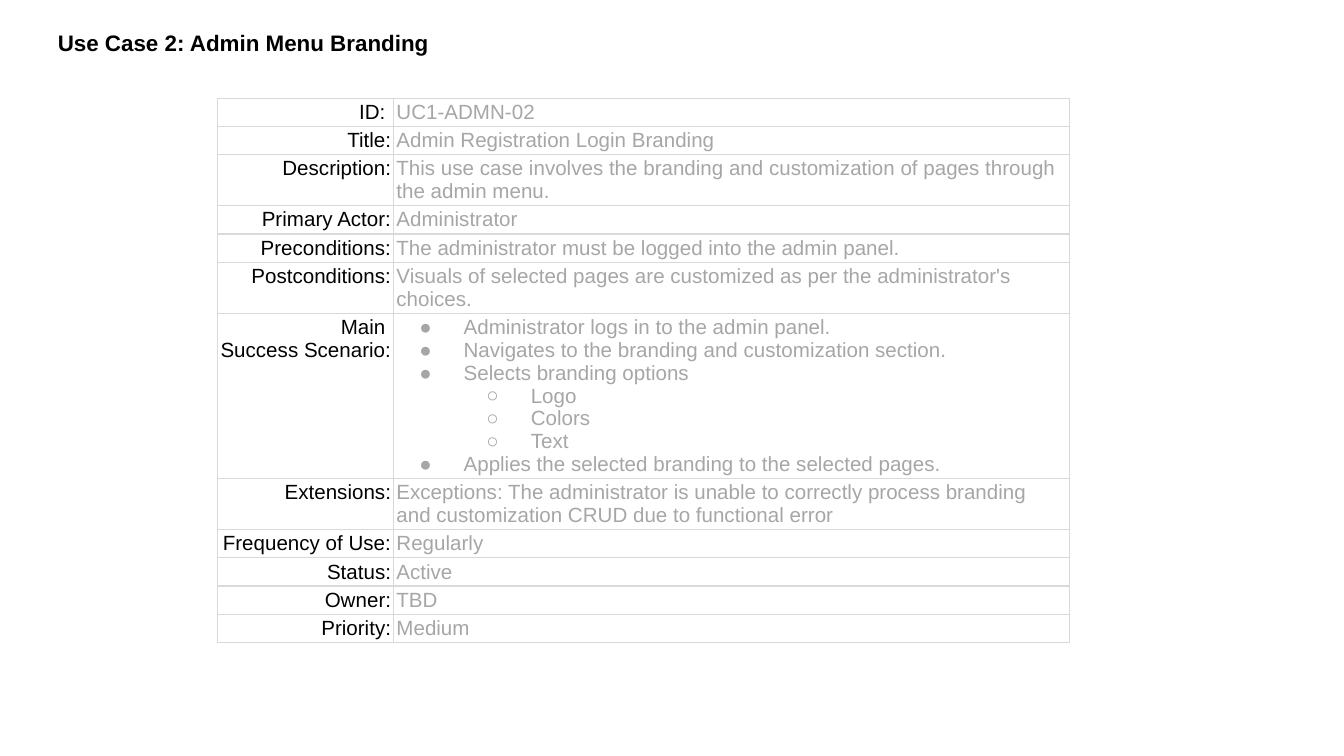
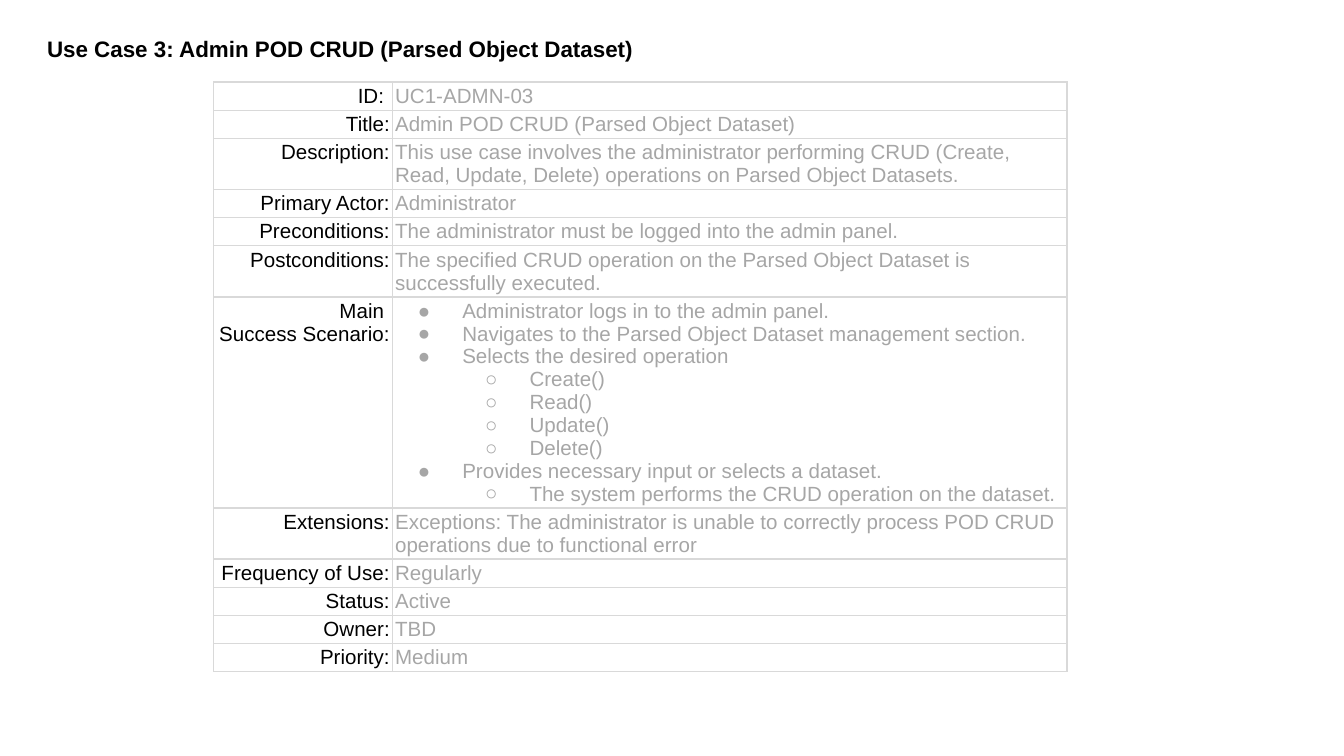
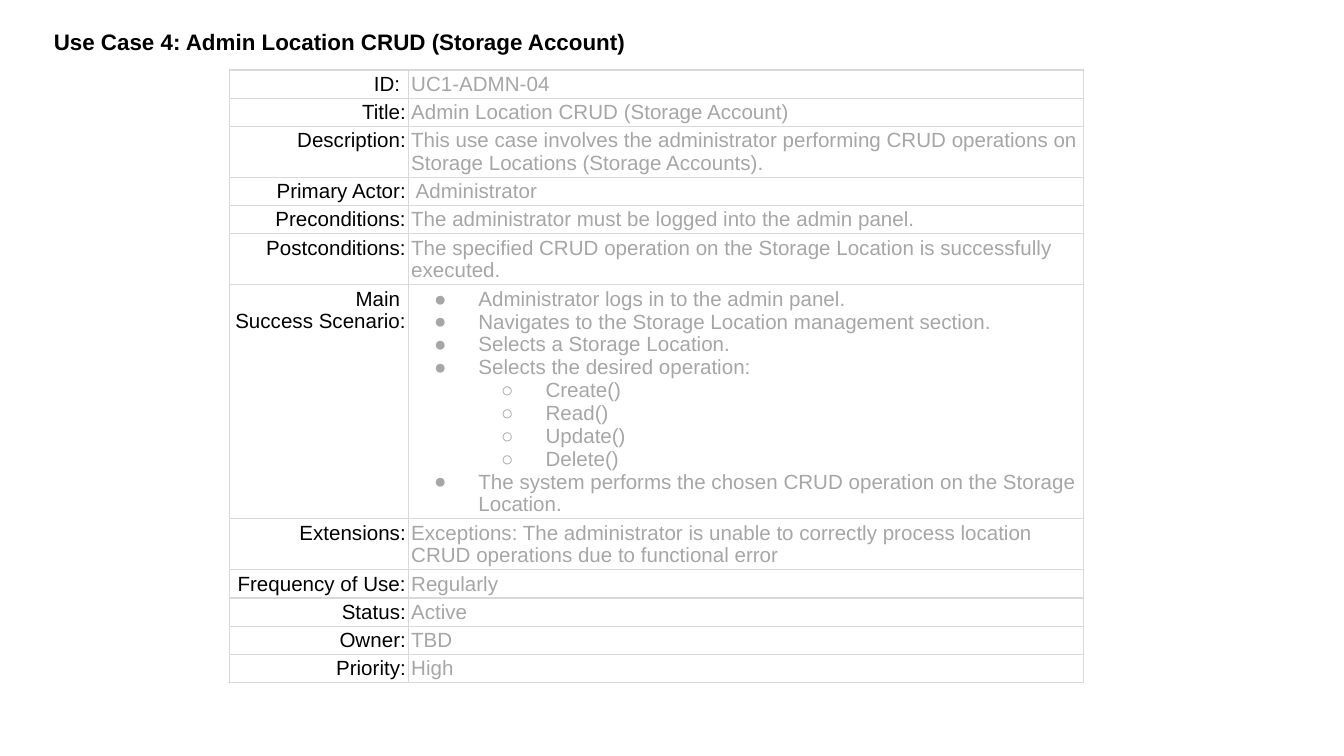
from pptx import Presentation
from pptx import util as u
from pptx.dml.color import RGBColor
from pptx.enum import text
from pptx.oxml import parse_xml
from pptx.oxml.ns import nsdecls

# Shared look
BLACK = RGBColor(0x00, 0x00, 0x00)
GREY = RGBColor(0xA6, 0xA6, 0xA6)
RULE = RGBColor(0xD9, 0xD9, 0xD9)
WHITE = RGBColor(0xFF, 0xFF, 0xFF)
FONT = "Arial"
TITLE_SIZE, TABLE_SIZE = u.Pt(12), u.Pt(11)
TITLE_INSET, CELL_INSET = u.Inches(0.1), u.Inches(0.02)
RULE_WIDTH = u.Pt(0.75)
ROW_HEIGHT = u.Inches(0.21)  # one line of text; longer rows grow
LEVEL_INDENT, BULLET_HANG = u.Inches(0.5), u.Inches(0.33)
BULLETS = "●○"

SLIDE_WIDTH, SLIDE_HEIGHT = u.Inches(10), u.Inches(5.625)

LABELS = ["ID: ", "Title:", "Description:", "Primary Actor:", "Preconditions:",
          "Postconditions:", "Main \nSuccess Scenario:", "Extensions:",
          "Frequency of Use:", "Status:", "Owner:", "Priority:"]
LOGGED_IN = "The administrator must be logged into the admin panel."
LOG_IN = (0, "Administrator logs in to the admin panel.")
CRUD_CALLS = [(1, call) for call in ("Create()", "Read()", "Update()", "Delete()")]

# Boxes are left, top, width, height in percent of the slide;
# scenario steps are pairs of level and wording
USE_CASES = [
    {
        "title": "Use Case 2: Admin Menu Branding",
        "title_box": (3.3, 2.13, 94.6, 98.84),
        "table_corner": (16.2, 13), "columns": (13.1, 50.3),
        "values": [
            "UC1-ADMN-02",
            "Admin Registration Login Branding",
            "This use case involves the branding and customization of pages "
            "through the admin menu.",
            "Administrator",
            LOGGED_IN,
            "Visuals of selected pages are customized as per the "
            "administrator's choices.",
            [LOG_IN,
             (0, "Navigates to the branding and customization section."),
             (0, "Selects branding options"),
             (1, "Logo"), (1, "Colors"), (1, "Text"),
             (0, "Applies the selected branding to the selected pages.")],
            "Exceptions: The administrator is unable to correctly process "
            "branding and customization CRUD due to functional error",
            "Regularly", "Active", "TBD", "Medium"],
    },
    {
        "title": "Use Case 3: Admin POD CRUD (Parsed Object Dataset)",
        "title_box": (2.5, 2.85, 95.7, 94.76),
        "table_corner": (15.9, 10.85), "columns": (13.3, 50.2),
        "values": [
            "UC1-ADMN-03",
            "Admin POD CRUD (Parsed Object Dataset)",
            "This use case involves the administrator performing CRUD (Create, "
            "Read, Update, Delete) operations on Parsed Object Datasets.",
            "Administrator",
            LOGGED_IN,
            "The specified CRUD operation on the Parsed Object Dataset is "
            "successfully executed.",
            [LOG_IN,
             (0, "Navigates to the Parsed Object Dataset management section."),
             (0, "Selects the desired operation"),
             *CRUD_CALLS,
             (0, "Provides necessary input or selects a dataset."),
             (1, "The system performs the CRUD operation on the dataset.")],
            "Exceptions: The administrator is unable to correctly process "
            "POD CRUD operations due to functional error",
            "Regularly", "Active", "TBD", "Medium"],
    },
    {
        "title": "Use Case 4: Admin Location CRUD (Storage Account)",
        "title_box": (3, 1.96, 94.6, 93.33),
        "table_corner": (17.1, 9.25), "columns": (13.3, 50.2),
        "values": [
            "UC1-ADMN-04",
            "Admin Location CRUD (Storage Account)",
            "This use case involves the administrator performing CRUD "
            "operations on Storage Locations (Storage Accounts).",
            " Administrator",
            LOGGED_IN,
            "The specified CRUD operation on the Storage Location is "
            "successfully executed.",
            [LOG_IN,
             (0, "Navigates to the Storage Location management section."),
             (0, "Selects a Storage Location."),
             (0, "Selects the desired operation:"),
             *CRUD_CALLS,
             (0, "The system performs the chosen CRUD operation on the "
                 "Storage Location.")],
            "Exceptions: The administrator is unable to correctly process "
            "location CRUD operations due to functional error",
            "Regularly", "Active", "TBD", "High"],
    },
]


def across(percent):
    return u.Emu(round(SLIDE_WIDTH * percent / 100))


def down(percent):
    return u.Emu(round(SLIDE_HEIGHT * percent / 100))


def set_insets(holder, inset):
    holder.margin_left = holder.margin_right = inset
    holder.margin_top = holder.margin_bottom = inset


def write(para, wording, size, color, bold=False, align=text.PP_ALIGN.LEFT):
    para.text = wording
    para.alignment = align
    font = para.font
    font.name, font.size, font.bold = FONT, size, bold
    font.color.rgb = color


def add_bullet(para, level):
    para.level = level
    props = para._p.get_or_add_pPr()
    props.set("marL", str(LEVEL_INDENT * (level + 1)))
    props.set("indent", str(-BULLET_HANG))
    for part in (f'<a:buClr {nsdecls("a")}><a:srgbClr val="{GREY}"/></a:buClr>',
                 f'<a:buFont {nsdecls("a")} typeface="{FONT}"/>',
                 f'<a:buChar {nsdecls("a")} char="{BULLETS[level]}"/>'):
        props.append(parse_xml(part))


def format_cell(cell, anchor):
    set_insets(cell, CELL_INSET)
    cell.vertical_anchor = anchor
    props = cell._tc.get_or_add_tcPr()
    for side in "LRTB":
        props.append(parse_xml(
            f'<a:ln{side} {nsdecls("a")} w="{RULE_WIDTH}"><a:solidFill>'
            f'<a:srgbClr val="{RULE}"/></a:solidFill></a:ln{side}>'))
    cell.fill.solid()
    cell.fill.fore_color.rgb = WHITE


def fill_label(cell, label, anchor):
    format_cell(cell, anchor)
    write(cell.text_frame.paragraphs[0], label, TABLE_SIZE, BLACK,
          align=text.PP_ALIGN.RIGHT)


def fill_value(cell, value):
    format_cell(cell, text.MSO_ANCHOR.MIDDLE)
    frame = cell.text_frame
    if isinstance(value, str):
        write(frame.paragraphs[0], value, TABLE_SIZE, GREY)
        return
    for index, (level, step) in enumerate(value):
        para = frame.add_paragraph() if index else frame.paragraphs[0]
        add_bullet(para, level)
        write(para, step, TABLE_SIZE, GREY)


def place_title(page, wording, box):
    title = page.shapes.title
    left, top, width, height = box
    title.left, title.top = across(left), down(top)
    title.width, title.height = across(width), down(height)
    frame = title.text_frame
    frame.word_wrap = True
    frame.auto_size = text.MSO_AUTO_SIZE.NONE
    frame.vertical_anchor = text.MSO_ANCHOR.TOP
    set_insets(frame, TITLE_INSET)
    write(frame.paragraphs[0], wording, TITLE_SIZE, BLACK, bold=True)


def place_table(page, corner, columns, values):
    table = page.shapes.add_table(
        len(LABELS), len(columns), across(corner[0]), down(corner[1]),
        across(sum(columns)), ROW_HEIGHT * len(LABELS)).table
    table.first_row = table.horz_banding = False
    for column, width in zip(table.columns, columns):
        column.width = across(width)
    for index, (label, value) in enumerate(zip(LABELS, values)):
        # Only the first label is centred in its row
        anchor = text.MSO_ANCHOR.TOP if index else text.MSO_ANCHOR.MIDDLE
        fill_label(table.cell(index, 0), label, anchor)
        fill_value(table.cell(index, 1), value)


def add_use_case(deck, case):
    page = deck.slides.add_slide(deck.slide_layouts.get_by_name("Title Only"))
    place_title(page, case["title"], case["title_box"])
    place_table(page, case["table_corner"], case["columns"], case["values"])


def main():
    deck = Presentation()
    deck.slide_width, deck.slide_height = SLIDE_WIDTH, SLIDE_HEIGHT
    for case in USE_CASES:
        add_use_case(deck, case)
    deck.save("out.pptx")


if __name__ == "__main__":
    main()
